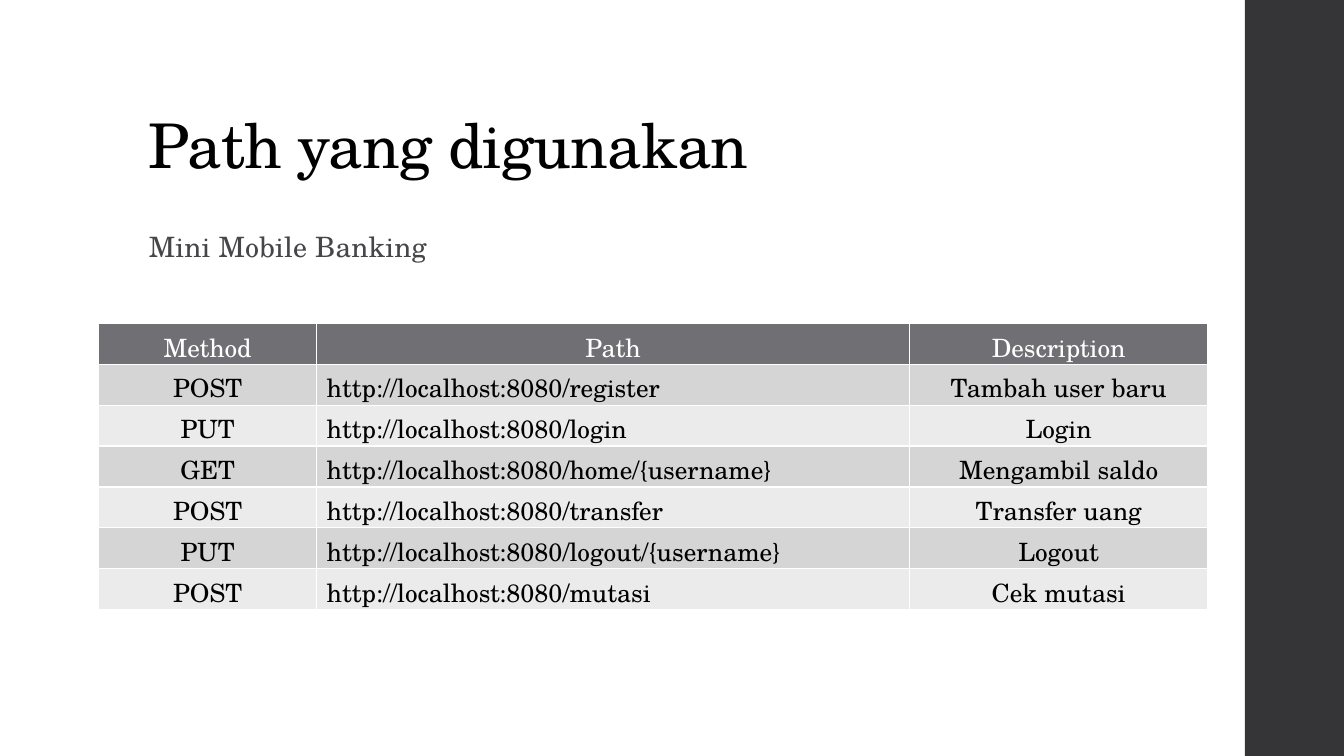
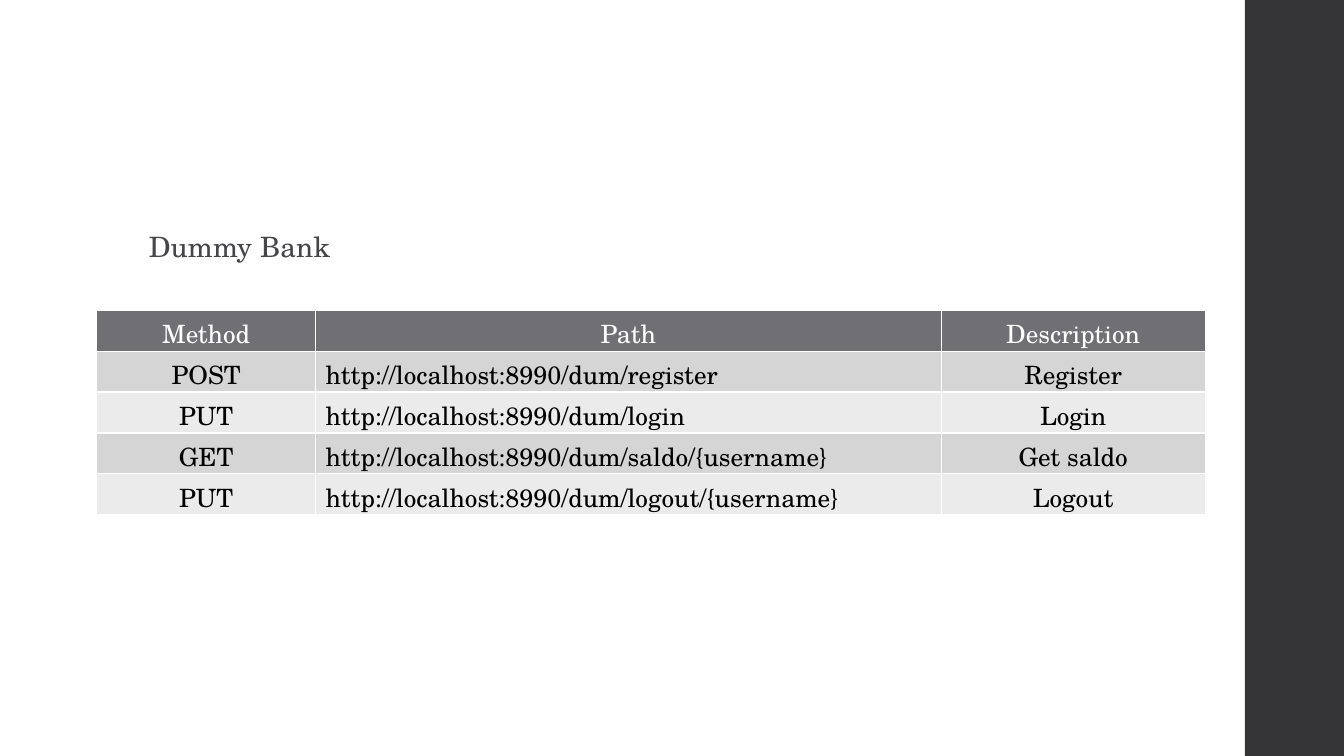
import dataclasses

import lxml.etree
import pptx
import pptx.dml.color
import pptx.enum.shapes
import pptx.enum.text
import pptx.oxml.ns
import pptx.util

Cm = pptx.util.Cm
Pt = pptx.util.Pt
RGB = pptx.dml.color.RGBColor.from_string
ALIGN = pptx.enum.text.PP_ALIGN
ANCHOR = pptx.enum.text.MSO_ANCHOR
qn = pptx.oxml.ns.qn


@dataclasses.dataclass(frozen=True)
class Theme:
    font: str = "TeX Gyre Schola"
    white: str = "FFFFFF"
    black: str = "000000"
    band: str = "353537"
    muted: str = "46464A"
    head: str = "6F6F74"
    rows: tuple = ("D5D5D6", "EBEBEB")
    title: int = 44
    sub: int = 20
    cell: int = 18
    rule: int = 1


theme = Theme()


def style(par, size, color, track=0):
    """Format every run of a paragraph; track is letter spacing in 1/100 pt."""
    for run in par.runs:
        run.font.name = theme.font
        run.font.size = Pt(size)
        run.font.bold = False
        run.font.color.rgb = RGB(color)
        if track:
            run.font._element.set("spc", str(track))


def label(slide, text, box, size, color, track, space):
    """Add a bottom-anchored line of text with the given line spacing."""
    frame = slide.shapes.add_textbox(*map(Cm, box)).text_frame
    frame.word_wrap = True
    frame.vertical_anchor = ANCHOR.BOTTOM
    frame.text = text
    par = frame.paragraphs[0]
    par.line_spacing = space
    style(par, size, color, track)
    return par


HEADS = ("Method", "Path", "Description")
HIGH = 1.03

pages = [
    dict(
        title="Path yang digunakan",
        sub="Mini Mobile Banking",
        left=2.49, top=8.15, cols=(5.49, 14.94, 7.52),
        base="http://localhost:8080/",
        rows=[
            ("POST", "register", "Tambah user baru"),
            ("PUT", "login", "Login"),
            ("GET", "home/{username}", "Mengambil saldo"),
            ("POST", "transfer", "Transfer uang"),
            ("PUT", "logout/{username}", "Logout"),
            ("POST", "mutasi", "Cek mutasi"),
        ],
    ),
    dict(
        title=None,
        sub="Dummy Bank",
        left=2.44, top=7.82, cols=(5.51, 15.77, 6.65),
        base="http://localhost:8990/dum/",
        rows=[
            ("POST", "register", "Register"),
            ("PUT", "login", "Login"),
            ("GET", "saldo/{username}", "Get saldo"),
            ("PUT", "logout/{username}", "Logout"),
        ],
    ),
]

deck = pptx.Presentation()
deck.slide_width, deck.slide_height = Cm(33.87), Cm(19.05)

for page in pages:
    slide = deck.slides.add_slide(deck.slide_layouts[6])
    slide.background.fill.solid()
    slide.background.fill.fore_color.rgb = RGB(theme.white)

    band = slide.shapes.add_shape(
        pptx.enum.shapes.MSO_SHAPE.RECTANGLE,
        Cm(31.37), 0, Cm(2.54), deck.slide_height)
    band.shadow.inherit = False
    band.fill.solid()
    band.fill.fore_color.rgb = RGB(theme.band)
    band.line.fill.background()

    if page["title"]:
        label(slide, page["title"], (3.5, 1.02, 26.92, 3.68),
              theme.title, theme.black, -50, 0.9)
    par = label(slide, page["sub"], (3.5, 4.75, 12.45, 2.03),
                theme.sub, theme.muted, 10, 0.95)
    par.space_after = Pt(2)

    lines = [HEADS] + [(verb, page["base"] + end, note)
                       for verb, end, note in page["rows"]]
    table = slide.shapes.add_table(
        len(lines), len(HEADS), Cm(page["left"]), Cm(page["top"]),
        Cm(sum(page["cols"])), Cm(HIGH * len(lines))).table
    table.horz_banding = False
    for col, width in zip(table.columns, page["cols"]):
        col.width = Cm(width)

    for r, line in enumerate(lines):
        table.rows[r].height = Cm(HIGH)
        fill = theme.rows[(r - 1) % 2] if r else theme.head
        ink = theme.black if r else theme.white
        for c, text in enumerate(line):
            cell = table.cell(r, c)
            cell.text_frame.text = text
            cell.vertical_anchor = ANCHOR.MIDDLE
            par = cell.text_frame.paragraphs[0]
            par.alignment = ALIGN.LEFT if r and c == 1 else ALIGN.CENTER
            style(par, theme.cell, ink)

            props = cell._tc.get_or_add_tcPr()
            for side in "LRTB":
                edge = lxml.etree.SubElement(
                    props, qn("a:ln" + side), w=str(Pt(theme.rule)))
                paint = lxml.etree.SubElement(edge, qn("a:solidFill"))
                lxml.etree.SubElement(paint, qn("a:srgbClr"), val=theme.white)
            cell.fill.solid()
            cell.fill.fore_color.rgb = RGB(fill)

deck.save("out.pptx")
